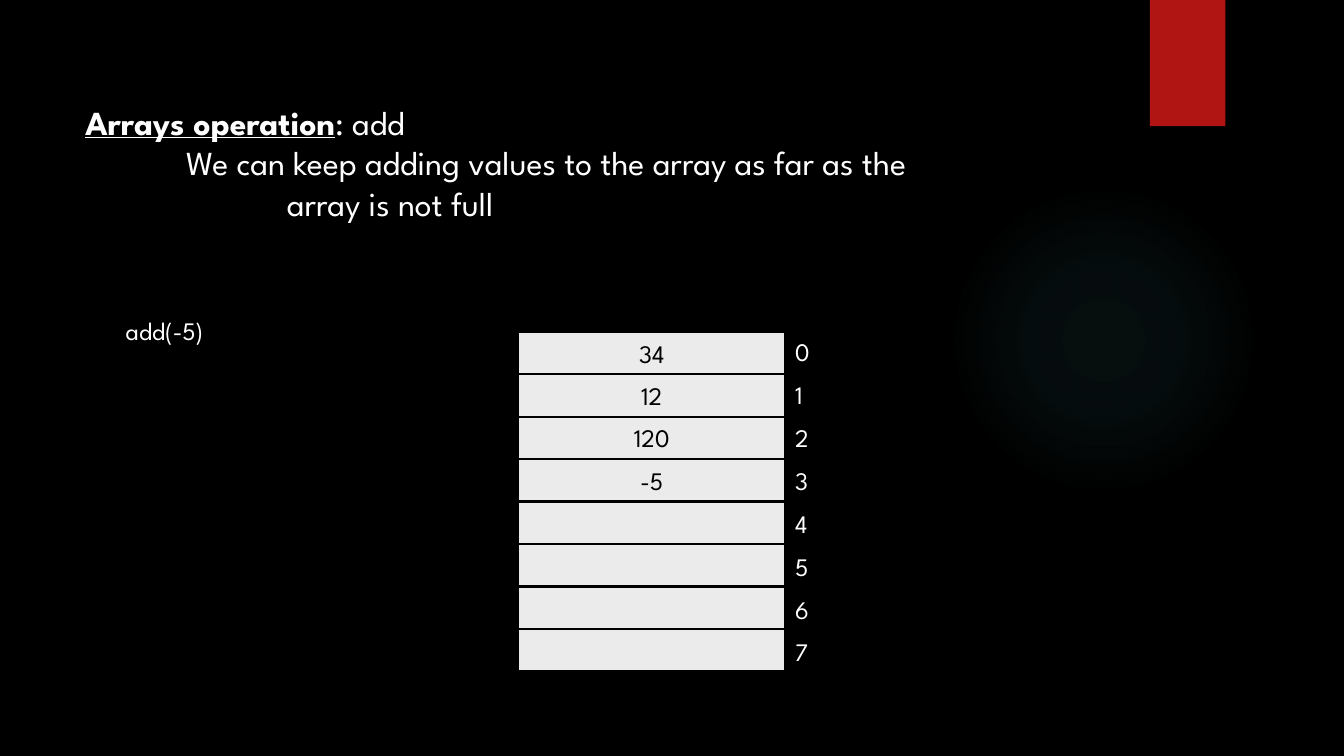
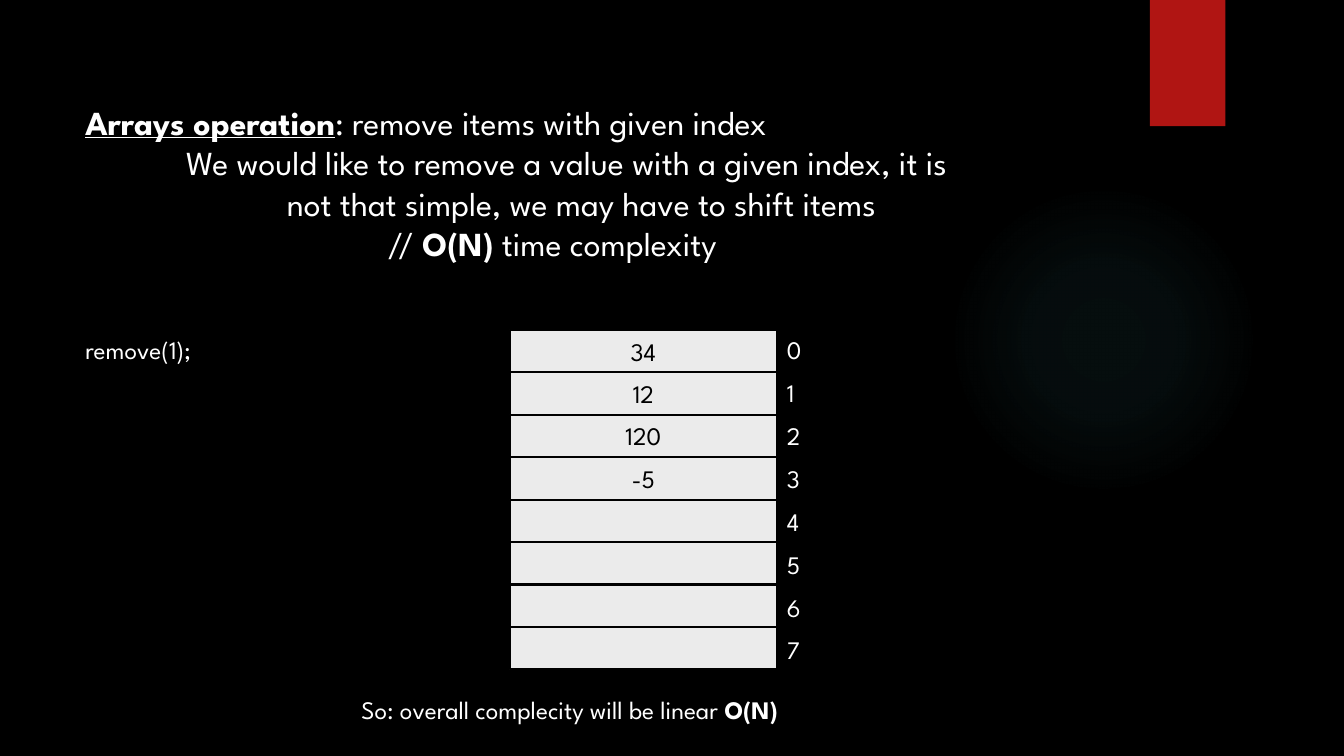
import pptx
import pptx.dml.color
import pptx.enum.shapes
import pptx.enum.text
import pptx.oxml
import pptx.oxml.ns
import pptx.util
from dataclasses import dataclass

Cm = pptx.util.Cm
SHAPES = pptx.enum.shapes.MSO_SHAPE
ALIGN = pptx.enum.text.PP_ALIGN
ANCHOR = pptx.enum.text.MSO_ANCHOR


@dataclass(frozen=True)
class Theme:
    font: str = "League Spartan"
    background: str = "000000"
    light: str = "FFFFFF"
    dark: str = "000000"
    cell: str = "EBEBEB"
    ribbon: str = "B01513"
    glow: str = "50B9C1"
    heading_size: int = 24
    body_size: int = 18
    border: float = 1.5


THEME = Theme()

SLIDES = [
    {
        "heading": [
            (0, [("Arrays operation", "bu"), (": add", "")]),
            (1, [("We can keep adding values to the array as far as the", "")]),
            (2, [("array is not full", "")]),
        ],
        "values": ["34", "12", "120", "-5"],
        "stack": (13.06, 8.36),
        "notes": [([("add(-5)", "")], (2.92, 7.82, 4, 1.02))],
    },
    {
        "heading": [
            (0, [("Arrays operation", "bu"), (": remove items with given index", "")]),
            (1, [("We would like to remove a value with a given index, it is", "")]),
            (2, [("not that simple, we may have to shift items", "")]),
            (3, [("// ", ""), ("O(N)", "b"), (" time complexity", "")]),
        ],
        "values": ["34", "12", "120", "-5"],
        "stack": (12.85, 8.31),
        "notes": [
            ([("remove(1);", "")], (1.9, 8.31, 4, 1.02)),
            ([("So: overall complecity will be linear ", ""), ("O(N)", "b")],
             (8.86, 17.37, 13.26, 1.02)),
        ],
    },
]

CAPACITY = 8
CELL_WIDTH, CELL_HEIGHT = 6.73, 1.07
INDEX_WIDTH, INDEX_HEIGHT, INDEX_PITCH = 1.2, 1.02, 1.08
HEADING_LEFT, HEADING_TOP, HEADING_WIDTH = 1.9, 2.44, 26.11
HEADING_LINE, INDENT = 1.02, 2.54
GLOW_STOPS = [(0, 7), (36, 6), (69, 0)]


def color(code):
    return pptx.dml.color.RGBColor.from_string(code)


def write_text(shape, lines, size=THEME.body_size, fill=THEME.light,
               align=ALIGN.LEFT, anchor=ANCHOR.TOP):
    frame = shape.text_frame
    frame.word_wrap = True
    frame.vertical_anchor = anchor
    for number, (level, runs) in enumerate(lines):
        paragraph = frame.add_paragraph() if number else frame.paragraphs[0]
        paragraph.alignment = align
        if level:
            paragraph._p.get_or_add_pPr().set("marL", str(Cm(level * INDENT)))
        for text, style in runs:
            run = paragraph.add_run()
            run.text = text
            run.font.name = THEME.font
            run.font.size = pptx.util.Pt(size)
            run.font.color.rgb = color(fill)
            run.font.bold = "b" in style
            run.font.underline = "u" in style


def add_text(slide, lines, box, **text_format):
    write_text(slide.shapes.add_textbox(*map(Cm, box)), lines, **text_format)


def add_shape(slide, kind, box, fill, border=None):
    shape = slide.shapes.add_shape(kind, *map(Cm, box))
    shape.shadow.inherit = False
    shape.fill.solid()
    shape.fill.fore_color.rgb = color(fill)
    if border:
        shape.line.color.rgb = color(border)
        shape.line.width = pptx.util.Pt(THEME.border)
    else:
        shape.line.fill.background()
    return shape


def add_glow(slide):
    glow = add_shape(slide, SHAPES.OVAL, (23.9, 4.65, 7.82, 7.82), THEME.glow)
    stops = "".join(
        f'<a:gs pos="{position * 1000}"><a:srgbClr val="{THEME.glow}">'
        f'<a:alpha val="{opacity * 1000}"/></a:srgbClr></a:gs>'
        for position, opacity in GLOW_STOPS)
    gradient = pptx.oxml.parse_xml(
        f'<a:gradFill {pptx.oxml.ns.nsdecls("a")} rotWithShape="1">'
        f'<a:gsLst>{stops}</a:gsLst><a:path path="circle">'
        '<a:fillToRect l="50000" t="50000" r="50000" b="50000"/>'
        '</a:path></a:gradFill>')
    properties = glow._element.spPr
    properties.replace(properties.find(pptx.oxml.ns.qn("a:solidFill")), gradient)
    return glow


def add_ribbon(slide):
    ribbon = add_shape(slide, SHAPES.RECTANGLE, (28.98, 0, 1.9, 3.18), THEME.ribbon)
    effects = ribbon._element.spPr.find(pptx.oxml.ns.qn("a:effectLst"))
    effects.append(pptx.oxml.parse_xml(
        f'<a:outerShdw {pptx.oxml.ns.nsdecls("a")} blurRad="{pptx.util.Pt(3)}" '
        f'dist="{pptx.util.Pt(2)}" dir="5400000" rotWithShape="0">'
        '<a:srgbClr val="000000"><a:alpha val="45000"/></a:srgbClr></a:outerShdw>'))
    return ribbon


def style_layout(layout, slide):
    layout.background.fill.solid()
    layout.background.fill.fore_color.rgb = color(THEME.background)
    for number, shape in enumerate((add_glow(slide), add_ribbon(slide)), 100):
        shape._element.nvSpPr.cNvPr.set("id", str(number))
        layout.shapes._spTree.append(shape._element)


def add_stack(slide, values, left, top):
    for index in range(CAPACITY):
        cell = add_shape(slide, SHAPES.RECTANGLE,
                         (left, top + index * CELL_HEIGHT, CELL_WIDTH, CELL_HEIGHT),
                         THEME.cell, border=THEME.dark)
        if index < len(values):
            write_text(cell, [(0, [(values[index], "")])], fill=THEME.dark,
                       align=ALIGN.CENTER, anchor=ANCHOR.MIDDLE)
        add_text(slide, [(0, [(str(index), "")])],
                 (left + CELL_WIDTH, top + index * INDEX_PITCH,
                  INDEX_WIDTH, INDEX_HEIGHT))


def fill_slide(slide, content):
    heading = content["heading"]
    add_text(slide, heading,
             (HEADING_LEFT, HEADING_TOP, HEADING_WIDTH,
              len(heading) * HEADING_LINE + 0.25),
             size=THEME.heading_size)
    add_stack(slide, content["values"], *content["stack"])
    for runs, box in content["notes"]:
        add_text(slide, [(0, runs)], box)


def main():
    presentation = pptx.Presentation()
    presentation.slide_width = Cm(33.87)
    presentation.slide_height = Cm(19.05)
    layout = presentation.slide_layouts[6]
    slides = [presentation.slides.add_slide(layout) for content in SLIDES]
    style_layout(layout, slides[0])
    for slide, content in zip(slides, SLIDES):
        fill_slide(slide, content)
    presentation.save("out.pptx")


if __name__ == "__main__":
    main()
